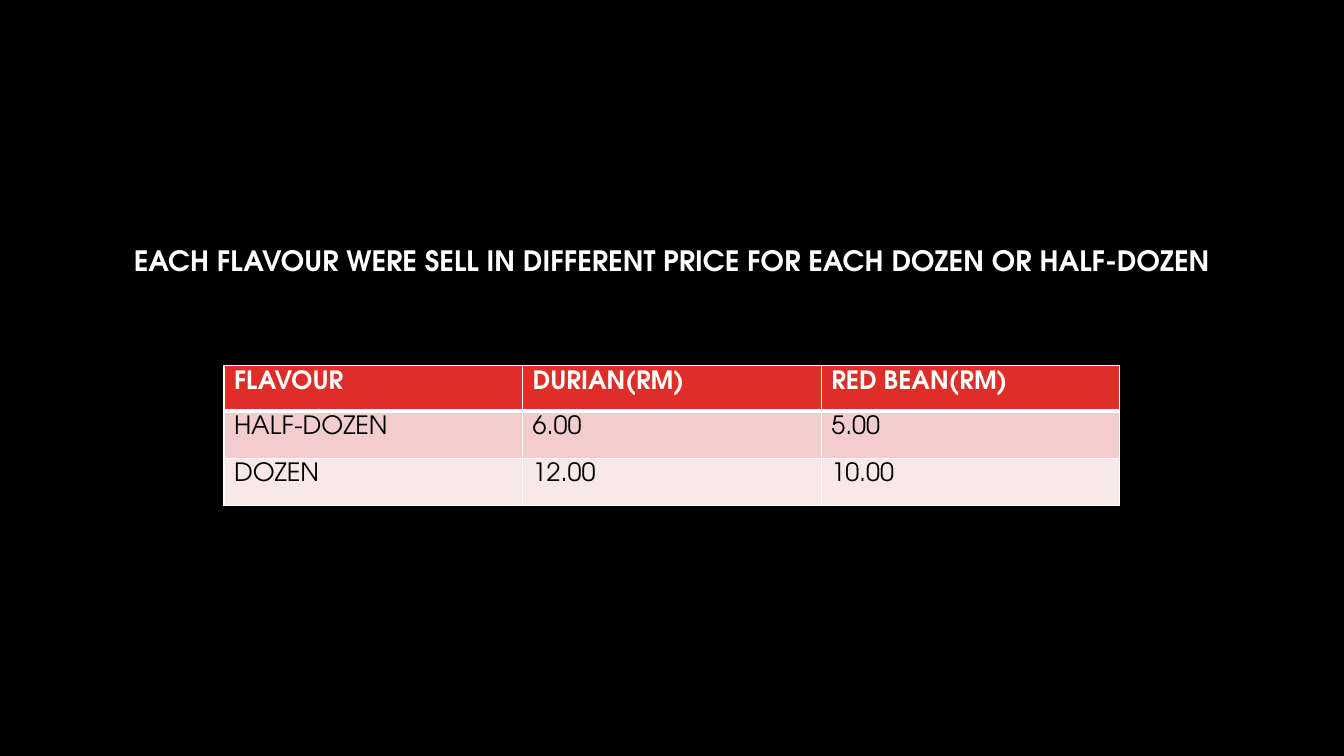
from lxml.etree import SubElement
from pptx import Presentation
from pptx.dml.color import RGBColor
from pptx.enum.text import PP_ALIGN
from pptx.oxml.ns import qn
from pptx.util import Pt

FONT = "TeX Gyre Adventor"
BLACK = RGBColor(0x00, 0x00, 0x00)
WHITE = RGBColor(0xFF, 0xFF, 0xFF)
RED = RGBColor(0xDF, 0x2E, 0x28)
PINK = RGBColor(0xF3, 0xCD, 0xCD)
PALE_PINK = RGBColor(0xF9, 0xE8, 0xE8)

PRICES = [
    ("FLAVOUR", "DURIAN(RM)", "RED BEAN(RM)"),
    ("HALF-DOZEN", "6.00", "5.00"),
    ("DOZEN", "12.00", "10.00"),
]
ROW_FILLS = [RED, PINK, PALE_PINK]
ROW_HEIGHTS = [32.4, 33.84, 33.84]


def add_run(paragraph, text, size, color, bold):
    run = paragraph.add_run()
    run.text = text
    run.font.name = FONT
    run.font.size = Pt(size)
    run.font.bold = bold
    run.font.color.rgb = color


def add_statement(slide, left, top, width, height):
    text_frame = slide.shapes.add_textbox(
        Pt(left), Pt(top), Pt(width), Pt(height)).text_frame
    text_frame.word_wrap = True
    paragraph = text_frame.paragraphs[0]
    paragraph.alignment = PP_ALIGN.CENTER
    paragraph.line_spacing = 0.9
    paragraph.space_before = Pt(10)
    add_run(paragraph,
            "EACH FLAVOUR WERE SELL IN DIFFERENT PRICE FOR EACH DOZEN OR HALF-DOZEN",
            20, WHITE, True)


def set_borders(cell, widths):
    """Draw white borders; widths maps each side's tag to points."""
    properties = cell._tc.get_or_add_tcPr()
    for position, (side, width) in enumerate(widths.items()):
        line = SubElement(properties, qn(f"a:{side}"), w=str(Pt(width)))
        fill = SubElement(line, qn("a:solidFill"))
        SubElement(fill, qn("a:srgbClr"), val=str(WHITE))
        properties.insert(position, line)


def add_price_table(slide, left, top, width):
    table = slide.shapes.add_table(
        len(PRICES), len(PRICES[0]), Pt(left), Pt(top),
        Pt(width), Pt(sum(ROW_HEIGHTS))).table
    for column in table.columns:
        column.width = Pt(width / len(PRICES[0]))
    for row_index, (values, fill, height) in enumerate(
            zip(PRICES, ROW_FILLS, ROW_HEIGHTS)):
        table.rows[row_index].height = Pt(height)
        is_header = row_index == 0
        borders = {
            "lnL": 1,
            "lnR": 1,
            "lnT": 3 if row_index == 1 else 1,
            "lnB": 3 if is_header else 1,
        }
        for cell, value in zip(table.rows[row_index].cells, values):
            cell.fill.solid()
            cell.fill.fore_color.rgb = fill
            cell.margin_top = cell.margin_bottom = Pt(3.6)
            set_borders(cell, borders)
            add_run(cell.text_frame.paragraphs[0], value, 18,
                    WHITE if is_header else BLACK, is_header)


def main():
    presentation = Presentation()
    presentation.slide_width = Pt(960)
    presentation.slide_height = Pt(540)
    slide = presentation.slides.add_slide(presentation.slide_layouts[6])
    slide.background.fill.solid()
    slide.background.fill.fore_color.rgb = BLACK
    add_statement(slide, 54, 172.8, 852, 316.8)
    add_price_table(slide, 160, 261, 640)
    presentation.save("out.pptx")


if __name__ == "__main__":
    main()
